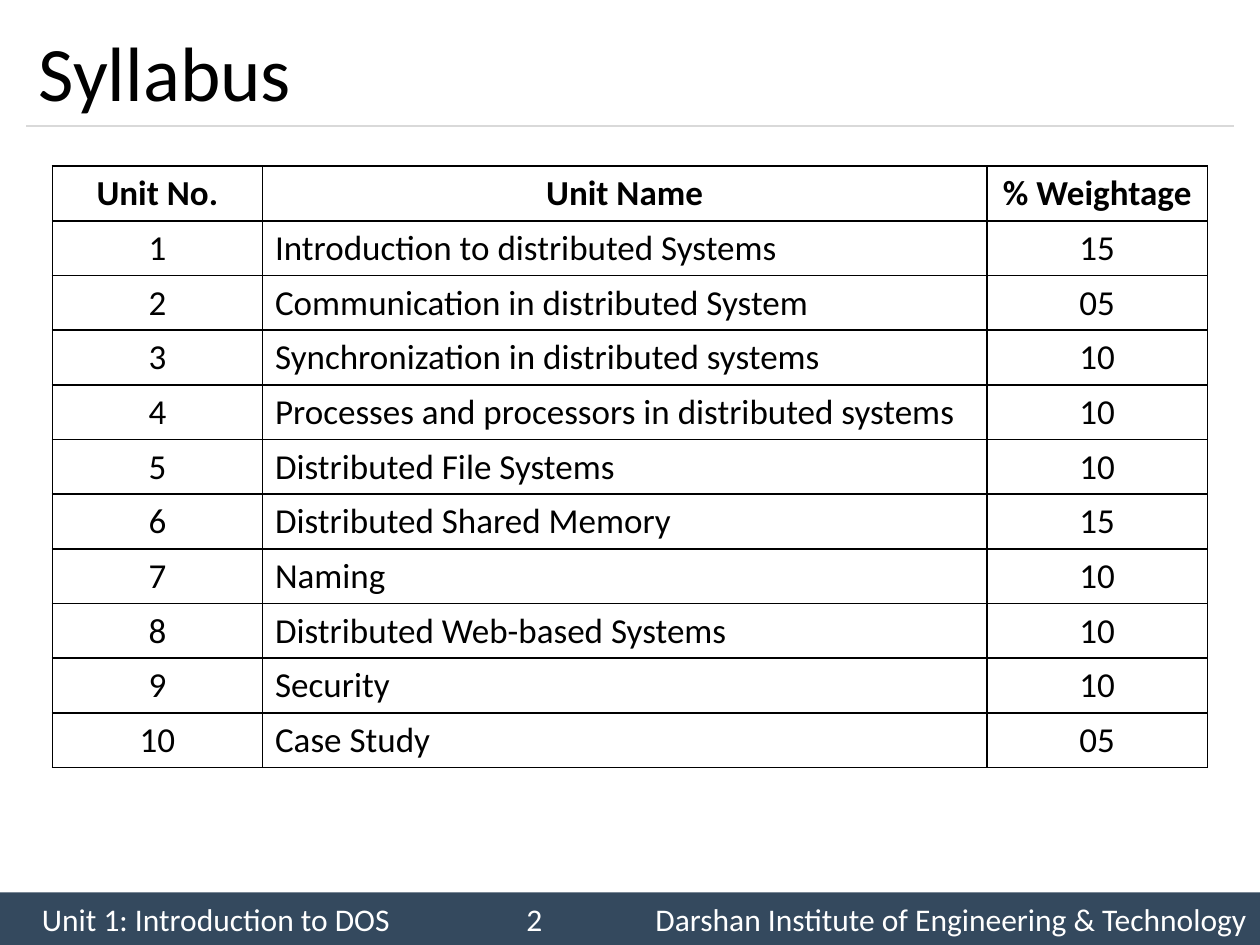
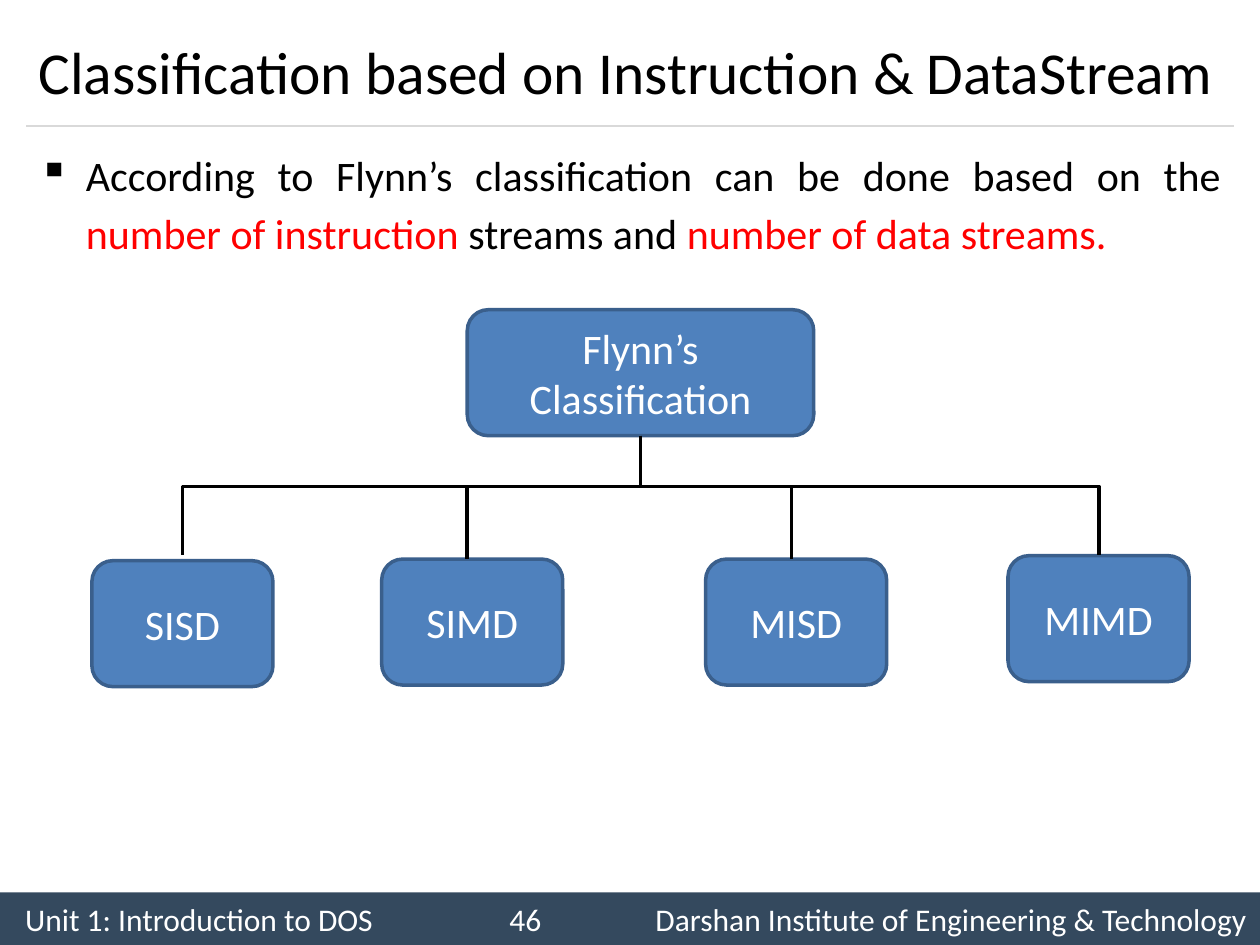
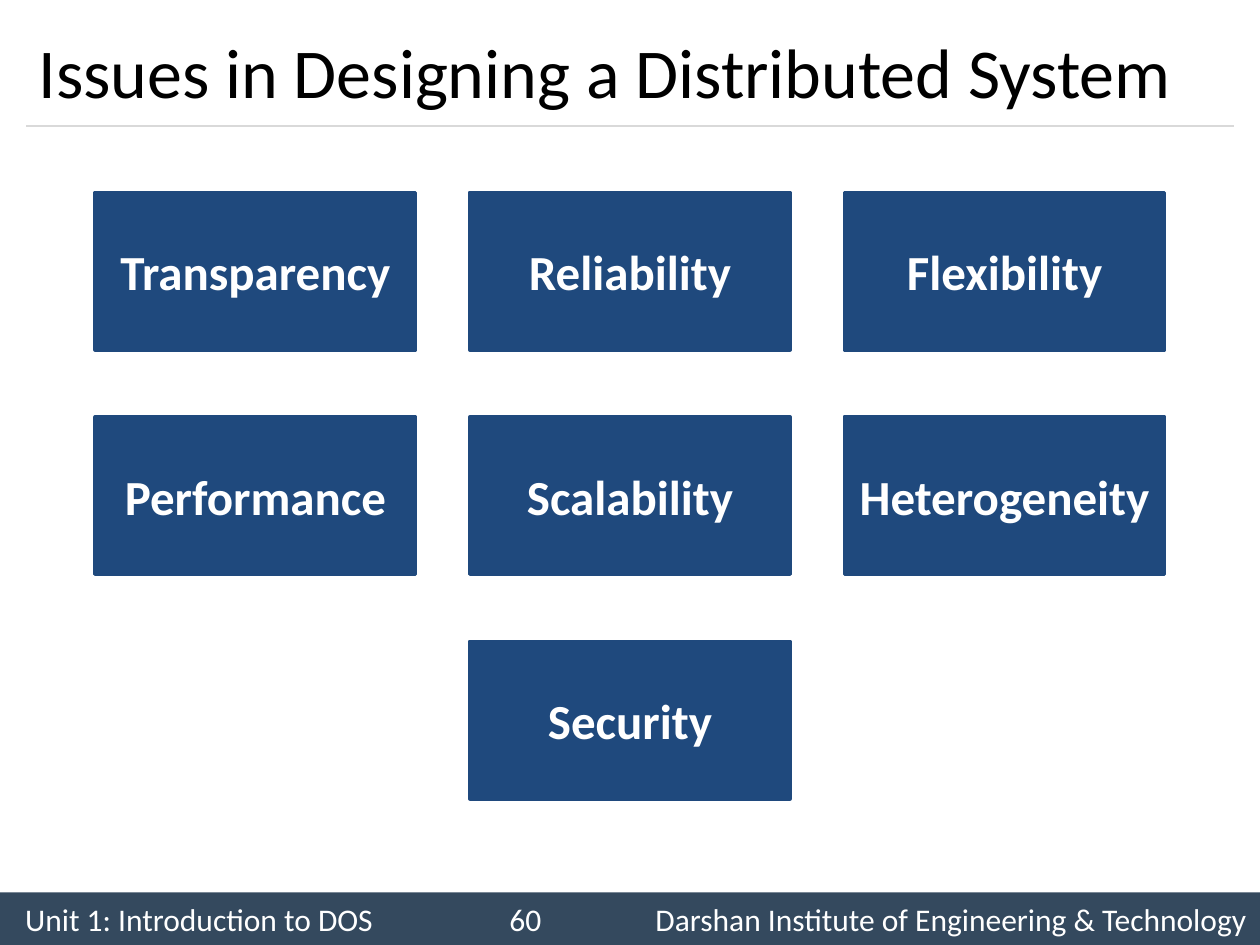
import lxml.etree
import pptx
import pptx.dml.color
import pptx.enum.shapes
import pptx.enum.text
import pptx.oxml.ns
import pptx.util

COLORS = {
    "text": "000000", "light": "FFFFFF", "accent": "FF0000", "footer": "34495E",
    "rule": "D9D9D9", "node": "4F81BD", "node_edge": "3A5F8C", "issue": "1F497D",
}
FONT = "Calibri"
ALIGN = pptx.enum.text.PP_ALIGN
SHAPES = pptx.enum.shapes.MSO_SHAPE
Pt = pptx.util.Pt
qn = pptx.oxml.ns.qn

deck = pptx.Presentation()
deck.slide_width = pptx.util.Inches(10)
deck.slide_height = pptx.util.Inches(7.5)
GRID = deck.slide_width / 48


def write(frame, text, size=24, color="text", bold=False, align=ALIGN.LEFT, middle=True):
    frame.word_wrap = True
    if middle:
        frame.vertical_anchor = pptx.enum.text.MSO_ANCHOR.MIDDLE
    paragraph = frame.paragraphs[0]
    paragraph.alignment = align
    for words, tone in [(text, color)] if isinstance(text, str) else text:
        run = paragraph.add_run()
        run.text = words
        run.font.name = FONT
        run.font.size = Pt(size)
        run.font.bold = bold
        run.font.color.rgb = pptx.dml.color.RGBColor.from_string(COLORS[tone])
    return paragraph


def add_box(slide, kind, left, top, width, height, fill, edge=None):
    box = slide.shapes.add_shape(kind, *[round(n * GRID) for n in (left, top, width, height)])
    box.shadow.inherit = False
    box.fill.solid()
    box.fill.fore_color.rgb = pptx.dml.color.RGBColor.from_string(COLORS[fill])
    if edge:
        box.line.color.rgb = pptx.dml.color.RGBColor.from_string(COLORS[edge])
        box.line.width = Pt(2)
    else:
        box.line.fill.background()
    return box


slides, lines = [], []
for title, size, number, footer_start in [
    ("Syllabus", 44, "2", 1.6),
    ("Classification based on Instruction & DataStream", 34, "46", 0.96),
    ("Issues in Designing a Distributed System", 40, "60", 0.96),
]:
    slide = deck.slides.add_slide(deck.slide_layouts[6])
    slides.append(slide)
    lines.append((slide, 1, 4.8, 47, 4.8, "rule", 0.75))
    footer = add_box(slide, SHAPES.RECTANGLE, 0, 34, 48, 2, "footer").text_frame
    footer.margin_left = round(footer_start * GRID)
    footer.margin_right = 0
    footer_line = write(footer, "", size=18, color="light")
    tabs = lxml.etree.SubElement(footer_line._p.get_or_add_pPr(), qn("a:tabLst"))
    for stop, side in [(18.45, "l"), (47.5 - footer_start, "r")]:
        lxml.etree.SubElement(tabs, qn("a:tab"), pos=str(round(stop * GRID)), algn=side)
    footer_line.runs[0].text = (
        f"Unit 1: Introduction to DOS\t{number}\tDarshan Institute of Engineering & Technology"
    )
    heading = slide.shapes.add_textbox(*[round(n * GRID) for n in (1, 0.6, 46, 4.2)])
    write(heading.text_frame, title, size=size)

syllabus, classification, issues = slides

units = [
    ("Unit No.", "Unit Name", "% Weightage"),
    ("1", "Introduction to distributed Systems", "15"),
    ("2", "Communication in distributed System", "05"),
    ("3", "Synchronization in distributed systems", "10"),
    ("4", "Processes and processors in distributed systems", "10"),
    ("5", "Distributed File Systems", "10"),
    ("6", "Distributed Shared Memory", "15"),
    ("7", "Naming", "10"),
    ("8", "Distributed Web-based Systems", "10"),
    ("9", "Security", "10"),
    ("10", "Case Study", "05"),
]
weightage = syllabus.shapes.add_table(
    len(units), 3, *[round(n * GRID) for n in (2, 6.33, 44, 2.08 * len(units))]
).table
weightage.first_row = False
weightage.horz_banding = False
for column, width in zip(weightage.columns, (8, 27.6, 8.4)):
    column.width = round(width * GRID)
for r, unit in enumerate(units):
    for c, entry in enumerate(unit):
        cell = weightage.cell(r, c)
        centred = r == 0 or c != 1
        write(cell.text_frame, entry, size=20, bold=r == 0, middle=False,
              align=ALIGN.CENTER if centred else ALIGN.LEFT)
        properties = cell._tc.get_or_add_tcPr()
        for side in ("lnL", "lnR", "lnT", "lnB"):
            border = lxml.etree.SubElement(properties, qn(f"a:{side}"), w=str(Pt(1)))
            ink = lxml.etree.SubElement(border, qn("a:solidFill"))
            lxml.etree.SubElement(ink, qn("a:srgbClr"), val=COLORS["text"])
        cell.fill.background()

summary = classification.shapes.add_textbox(*[round(n * GRID) for n in (1, 5.2, 46, 28)])
point = write(summary.text_frame, [
    ("According to Flynn’s classification can be done based on the ", "text"),
    ("number of instruction ", "accent"),
    ("streams and ", "text"),
    ("number of data streams.", "accent"),
], align=ALIGN.JUSTIFY, middle=False)
indent = round(1.8 * GRID)
point_properties = point._p.get_or_add_pPr()
point_properties.set("marL", str(indent))
point_properties.set("indent", str(-indent))
lxml.etree.SubElement(point_properties, qn("a:buChar"), char="▪")
point.line_spacing = 1.14

for name, left, top, width in [
    ("Flynn’s Classification", 17.8, 11.8, 13.2),
    ("SISD", 3.5, 21.36, 6.9),
    ("SIMD", 14.54, 21.3, 6.9),
    ("MISD", 26.88, 21.3, 6.9),
    ("MIMD", 38.4, 21.17, 6.9),
]:
    node = add_box(classification, SHAPES.ROUNDED_RECTANGLE, left, top, width, 4.8,
                   "node", "node_edge")
    write(node.text_frame, name, color="light", align=ALIGN.CENTER)

trunk, bus, branch_end = 24.4, 18.53, 21.15
for branch in (41.86, 6.96):
    builder = classification.shapes.build_freeform(round(trunk * GRID), round(16.6 * GRID))
    builder.add_line_segments(
        [(round(x * GRID), round(y * GRID))
         for x, y in ((trunk, bus), (branch, bus), (branch, branch_end))], close=False)
    elbow = builder.convert_to_shape()
    elbow.shadow.inherit = False
    elbow.fill.background()
    elbow.line.color.rgb = pptx.dml.color.RGBColor.from_string(COLORS["text"])
    elbow.line.width = Pt(2)
for branch in (30.15, 17.8):
    lines.append((classification, branch, bus, branch, 21.3, "text", 2))

for name, column, row in [
    ("Transparency", 0, 0), ("Reliability", 1, 0), ("Flexibility", 2, 0),
    ("Performance", 0, 1), ("Scalability", 1, 1), ("Heterogeneity", 2, 1),
    ("Security", 1, 2),
]:
    issue = add_box(issues, SHAPES.RECTANGLE, 3.63 + 14.27 * column, 7.33 + 8.55 * row,
                    12.2, 6, "issue", "issue")
    write(issue.text_frame, name, size=28, color="light", bold=True, align=ALIGN.CENTER)

for slide, x1, y1, x2, y2, color, width in lines:
    line = slide.shapes.add_connector(
        pptx.enum.shapes.MSO_CONNECTOR.STRAIGHT, *[round(n * GRID) for n in (x1, y1, x2, y2)])
    line.line.color.rgb = pptx.dml.color.RGBColor.from_string(COLORS[color])
    line.line.width = Pt(width)
    lxml.etree.SubElement(line._element.spPr, qn("a:effectLst"))

deck.save("out.pptx")
